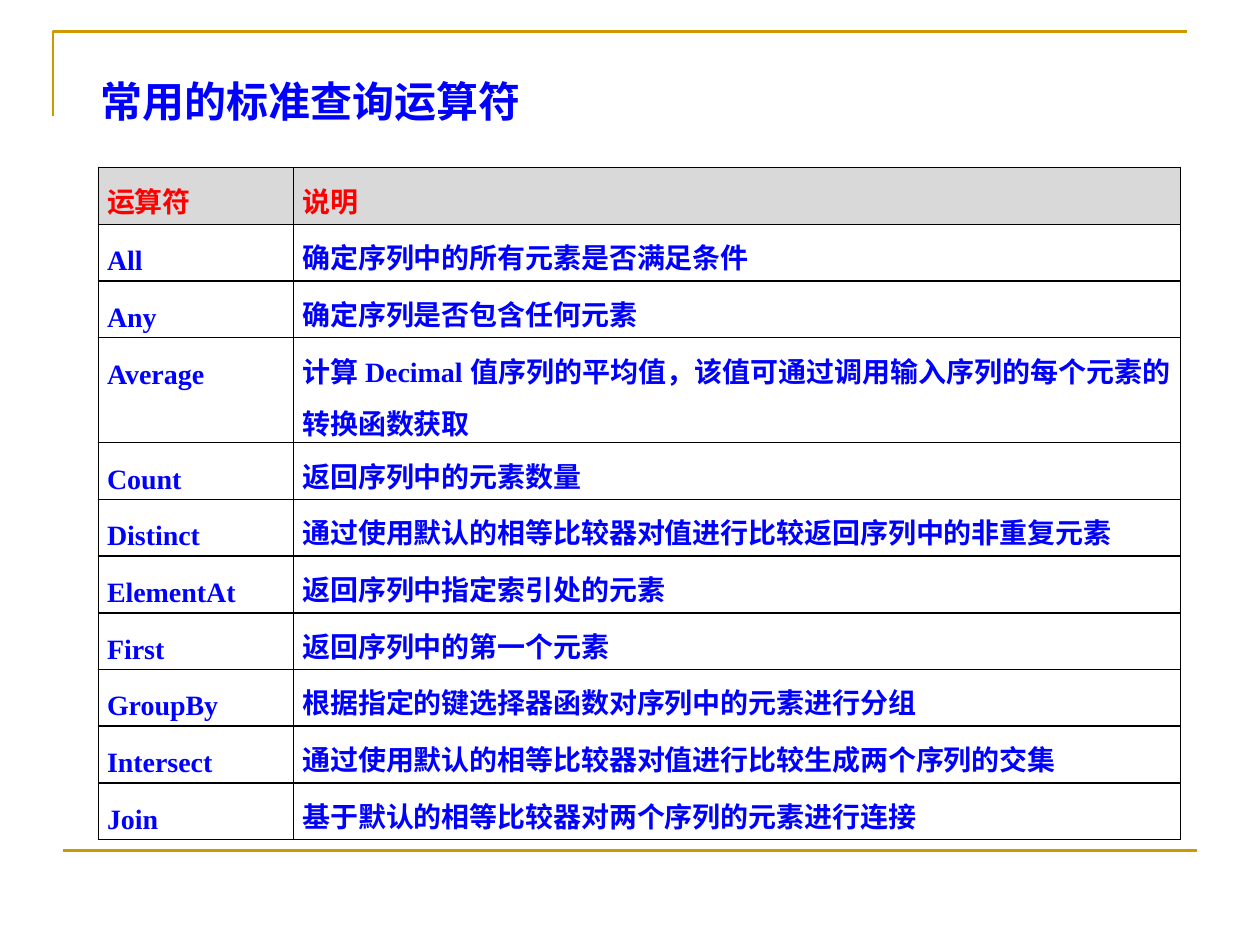
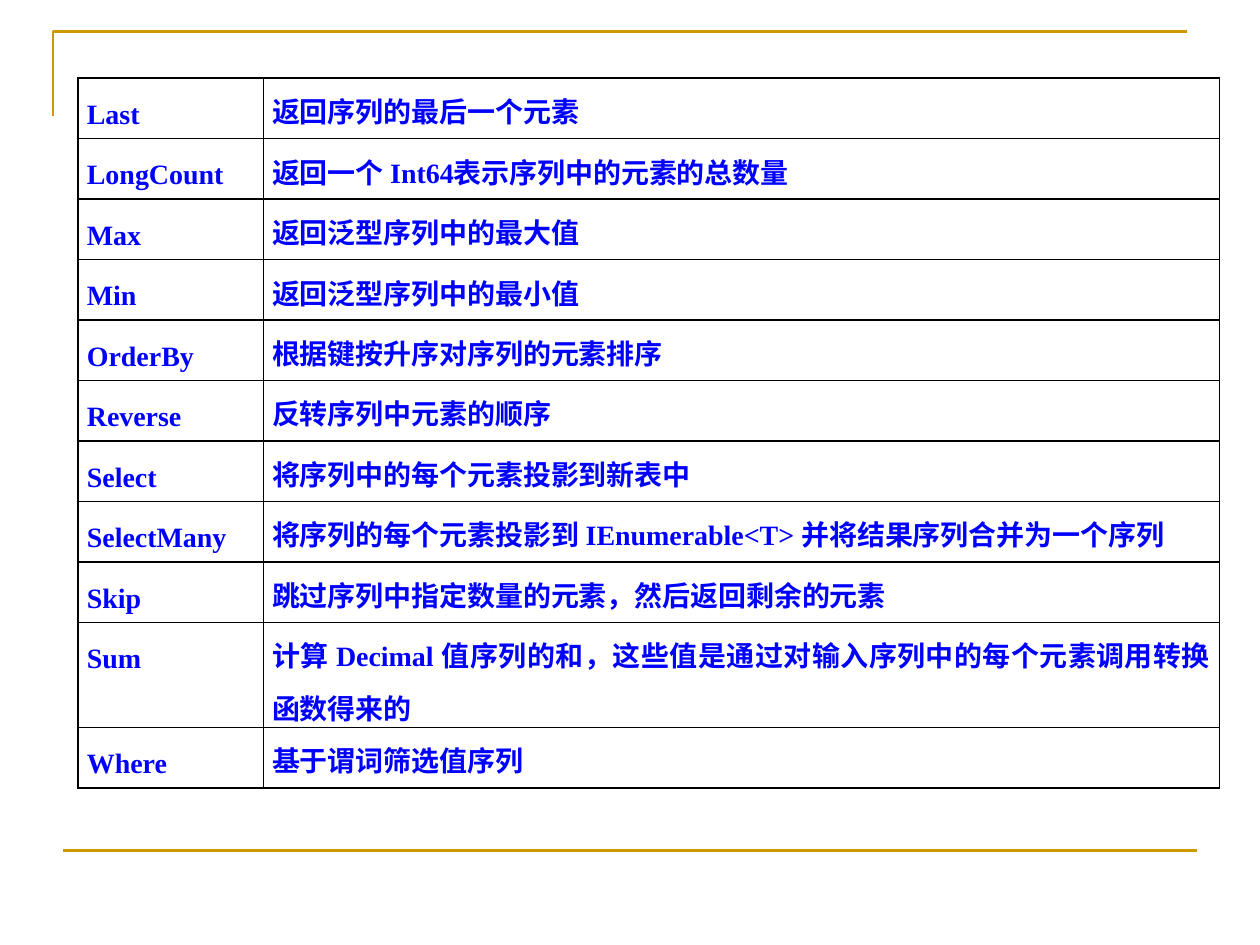
from dataclasses import dataclass

from lxml.etree import SubElement
from pptx import Presentation
from pptx.dml.color import RGBColor
from pptx.enum.shapes import MSO_CONNECTOR
from pptx.enum.text import MSO_AUTO_SIZE, PP_ALIGN
from pptx.oxml.ns import qn
from pptx.slide import Slide
from pptx.text.text import TextFrame
from pptx.util import Inches, Pt

HUES = {
    "gold": "CC9900",
    "blue": "0000FF",
    "red": "FF0000",
    "gray": "D9D9D9",
    "black": "000000",
}
HAN = "Noto Sans CJK SC"
ROMAN = "Times New Roman"


@dataclass(frozen=True)
class Grid:
    left: float
    top: float
    cols: tuple[float, float]
    step: float
    rows: tuple[tuple[str, str], ...]
    head: bool = False


FIRST = Grid(0.78, 1.33, (1.55, 7.04), 0.45, (
    ("运算符", "说明"),
    ("All", "确定序列中的所有元素是否满足条件"),
    ("Any", "确定序列是否包含任何元素"),
    ("Average", "计算 Decimal 值序列的平均值，该值可通过调用输入序列的每个元素的转换函数获取"),
    ("Count", "返回序列中的元素数量"),
    ("Distinct", "通过使用默认的相等比较器对值进行比较返回序列中的非重复元素"),
    ("ElementAt", "返回序列中指定索引处的元素"),
    ("First", "返回序列中的第一个元素"),
    ("GroupBy", "根据指定的键选择器函数对序列中的元素进行分组"),
    ("Intersect", "通过使用默认的相等比较器对值进行比较生成两个序列的交集"),
    ("Join", "基于默认的相等比较器对两个序列的元素进行连接"),
), head=True)

SECOND = Grid(0.62, 0.62, (1.47, 7.59), 0.48, (
    ("Last", "返回序列的最后一个元素"),
    ("LongCount", "返回一个 Int64表示序列中的元素的总数量"),
    ("Max", "返回泛型序列中的最大值"),
    ("Min", "返回泛型序列中的最小值"),
    ("OrderBy", "根据键按升序对序列的元素排序"),
    ("Reverse", "反转序列中元素的顺序"),
    ("Select", "将序列中的每个元素投影到新表中"),
    ("SelectMany", "将序列的每个元素投影到 IEnumerable<T> 并将结果序列合并为一个序列"),
    ("Skip", "跳过序列中指定数量的元素，然后返回剩余的元素"),
    ("Sum", "计算 Decimal 值序列的和，这些值是通过对输入序列中的每个元素调用转换函数得来的"),
    ("Where", "基于谓词筛选值序列"),
))


def tint(name: str) -> RGBColor:
    return RGBColor.from_string(HUES[name])


def write(frame: TextFrame, text: str, *, size: float, font: str = ROMAN,
          hue: str = "blue", align: PP_ALIGN | None = None,
          lead: float | None = None) -> None:
    frame.word_wrap = True
    para = frame.paragraphs[0]
    para.alignment = align
    if lead:
        para.line_spacing = Pt(lead)
    run = para.add_run()
    run.text = text
    run.font.size = Pt(size)
    run.font.bold = True
    run.font.name = font
    run.font.color.rgb = tint(hue)
    SubElement(run.font._element, qn("a:ea")).set("typeface", HAN)


def draw_frame(slide: Slide) -> None:
    pen = slide.shapes.build_freeform(Inches(0.42), Inches(0.92))
    pen.add_line_segments([(Inches(0.42), Inches(0.25)),
                           (Inches(9.42), Inches(0.25))], close=False)
    bend = pen.convert_to_shape()
    bend.fill.background()
    bend.shadow.inherit = False
    base = slide.shapes.add_connector(
        MSO_CONNECTOR.STRAIGHT, Inches(0.5), Inches(6.75), Inches(9.5), Inches(6.75))
    SubElement(base._element.spPr, qn("a:effectLst"))
    for part in (bend, base):
        part.line.color.rgb = tint("gold")
        part.line.width = Pt(1.5)


def draw_title(slide: Slide, text: str) -> None:
    box = slide.shapes.add_textbox(Inches(0.7), Inches(0.55), Inches(5.16), Inches(0.5))
    write(box.text_frame, text, size=24, font=HAN)
    box.text_frame.auto_size = MSO_AUTO_SIZE.SHAPE_TO_FIT_TEXT


def edge_cell(cell) -> None:
    props = cell._tc.get_or_add_tcPr()
    for side in ("lnL", "lnR", "lnT", "lnB"):
        line = SubElement(props, qn(f"a:{side}"), w=str(Pt(1)))
        fill = SubElement(line, qn("a:solidFill"))
        SubElement(fill, qn("a:srgbClr"), val=HUES["black"])


def draw_grid(slide: Slide, grid: Grid) -> None:
    count = len(grid.rows)
    table = slide.shapes.add_table(
        count, len(grid.cols), Inches(grid.left), Inches(grid.top),
        Inches(sum(grid.cols)), Inches(grid.step * count)).table
    table.first_row = grid.head
    table.horz_banding = False
    for col, width in zip(table.columns, grid.cols):
        col.width = Inches(width)
    for row, (line, texts) in enumerate(zip(table.rows, grid.rows)):
        line.height = Inches(grid.step)
        top = grid.head and row == 0
        for cell, text in zip(line.cells, texts):
            cell.margin_left = cell.margin_right = Inches(0.07)
            cell.margin_top = cell.margin_bottom = 0
            edge_cell(cell)
            if top:
                cell.fill.solid()
                cell.fill.fore_color.rgb = tint("gray")
            else:
                cell.fill.background()
            write(cell.text_frame, text, size=16, hue="red" if top else "blue",
                  align=PP_ALIGN.JUSTIFY, lead=30)


def main() -> None:
    deck = Presentation()
    deck.slide_width, deck.slide_height = Inches(10), Inches(7.5)
    for title, grid in (("常用的标准查询运算符", FIRST), (None, SECOND)):
        slide = deck.slides.add_slide(deck.slide_layouts[6])
        draw_frame(slide)
        if title:
            draw_title(slide, title)
        draw_grid(slide, grid)
    deck.save("out.pptx")


if __name__ == "__main__":
    main()
